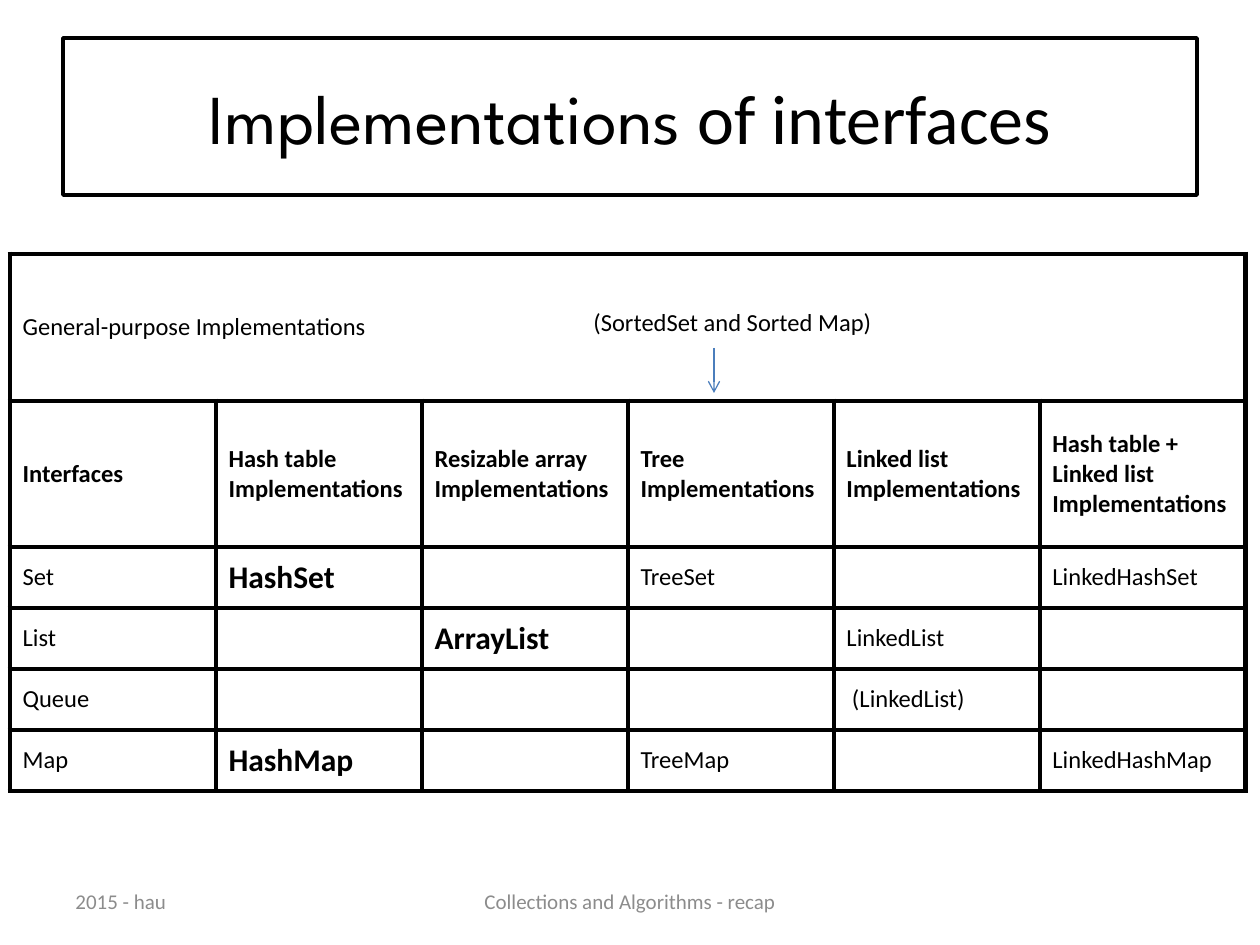
from dataclasses import dataclass

from lxml import etree
from pptx import Presentation, util as u
from pptx.dml.color import RGBColor
from pptx.enum import shapes, text
from pptx.oxml import ns

PX = 914400 // 126


@dataclass(frozen=True)
class Theme:
    """Colours, fonts and type sizes of the slide."""
    ink: str = "000000"
    paper: str = "FFFFFF"
    blue: str = "4B7EBC"
    grey: str = "8C8C8C"
    font: str = "Calibri"
    lead: str = "League Spartan"
    head: int = 40
    large: int = 18
    body: int = 14
    small: int = 12


T = Theme()
HEADS = ["Interfaces", "Hash table Implementations",
         "Resizable array Implementations", "Tree Implementations",
         "Linked list Implementations",
         "Hash table + Linked list Implementations"]
ROWS = [
    ["Set", "HashSet", "", "TreeSet", "", "LinkedHashSet"],
    ["List", "", "ArrayList", "", "LinkedList", ""],
    ["Queue", "", "", "", "\u00a0(LinkedList)", ""],
    ["Map", "HashMap", "", "TreeMap", "", "LinkedHashMap"],
]
MAIN = {"HashSet", "ArrayList", "HashMap"}


def px(*vals):
    """Turn pixels into EMU."""
    return [u.Emu(v * PX) for v in vals]


def rgb(code):
    """Make a colour from its hex code."""
    return RGBColor.from_string(code)


def add_run(para, words, size=T.body, color=T.ink, font=T.font, bold=False):
    """Append one formatted run to a paragraph."""
    run = para.add_run()
    run.text = words
    run.font.size = u.Pt(size)
    run.font.name = font
    run.font.bold = bold
    run.font.color.rgb = rgb(color)


def add_title(slide, box):
    """Frame the title placeholder and fill in its two runs."""
    title = slide.shapes.title
    title.left, title.top, title.width, title.height = px(*box)
    title.fill.solid()
    title.fill.fore_color.rgb = rgb(T.paper)
    title.line.color.rgb = rgb(T.ink)
    title.line.width = u.Pt(2)
    frame = title.text_frame
    frame.vertical_anchor = text.MSO_ANCHOR.MIDDLE
    para = frame.paragraphs[0]
    para.alignment = text.PP_ALIGN.CENTER
    add_run(para, "Implementations ", T.head, font=T.lead)
    add_run(para, "of interfaces", T.head)


def add_edges(cell, width=3):
    """Draw a solid line on all four sides of a cell."""
    props = cell._tc.get_or_add_tcPr()
    for i, side in enumerate(("lnL", "lnR", "lnT", "lnB")):
        edge = etree.Element(ns.qn("a:" + side), w=str(u.Pt(width)))
        fill = etree.SubElement(edge, ns.qn("a:solidFill"))
        etree.SubElement(fill, ns.qn("a:srgbClr"), val=T.ink)
        props.insert(i, edge)


def add_grid(slide, box):
    """Place the table of interfaces and their implementations."""
    data = [["General-purpose Implementations"] + [""] * 5, HEADS] + ROWS
    tall = [147, 146] + [61] * len(ROWS)
    grid = slide.shapes.add_table(len(data), len(HEADS), *px(*box)).table
    grid.first_row = grid.horz_banding = False
    for col in grid.columns:
        col.width = px(box[2] // len(HEADS))[0]
    for r, line in enumerate(data):
        grid.rows[r].height = px(tall[r])[0]
        for c, words in enumerate(line):
            cell = grid.cell(r, c)
            cell.fill.background()
            cell.vertical_anchor = text.MSO_ANCHOR.MIDDLE
            add_edges(cell)
            if words:
                main = words in MAIN
                add_run(cell.text_frame.paragraphs[0], words,
                        T.large if main else T.body, bold=main or r == 1)
    grid.cell(0, 0).merge(grid.cell(0, len(HEADS) - 1))


def add_label(slide, box, words, size=T.body, color=T.ink,
              align=text.PP_ALIGN.LEFT, anchor=text.MSO_ANCHOR.TOP):
    """Place one line of text in a box."""
    frame = slide.shapes.add_textbox(*px(*box)).text_frame
    frame.word_wrap = True
    frame.vertical_anchor = anchor
    para = frame.paragraphs[0]
    para.alignment = align
    add_run(para, words, size, color)


def add_note(slide, box):
    """Place the remark on sorted types with its arrow down to the tree column."""
    x, y, w, h = box
    add_label(slide, (x, y, w, 43), "(SortedSet and Sorted Map)")
    mid = x + 133
    arrow = slide.shapes.add_connector(
        shapes.MSO_CONNECTOR.STRAIGHT, *px(mid, y + 47, mid, y + h))
    arrow.line.color.rgb = rgb(T.blue)
    arrow.line.width = u.Pt(0.75)
    etree.SubElement(arrow.line._get_or_add_ln(), ns.qn("a:tailEnd"),
                     type="arrow")
    etree.SubElement(arrow._element.spPr, ns.qn("a:effectLst"))


def add_footer(slide, box):
    """Place the date at the left and the topic in the centre."""
    x, y, w, h = box
    mid = text.MSO_ANCHOR.MIDDLE
    add_label(slide, (x, y, 294, h), "2015 - hau", T.small, T.grey, anchor=mid)
    add_label(slide, (x + (w - 400) // 2, y, 400, h),
              "Collections and Algorithms - recap", T.small, T.grey,
              text.PP_ALIGN.CENTER, mid)


def main():
    """Build the slide and save it."""
    deck = Presentation()
    deck.slide_width, deck.slide_height = px(1260, 945)
    slide = deck.slides.add_slide(deck.slide_layouts[5])
    add_title(slide, (63, 38, 1134, 157))
    add_grid(slide, (10, 254, 1236, 537))
    add_note(slide, (581, 301, 308, 92))
    add_footer(slide, (63, 876, 1134, 50))
    deck.save("out.pptx")


main()
